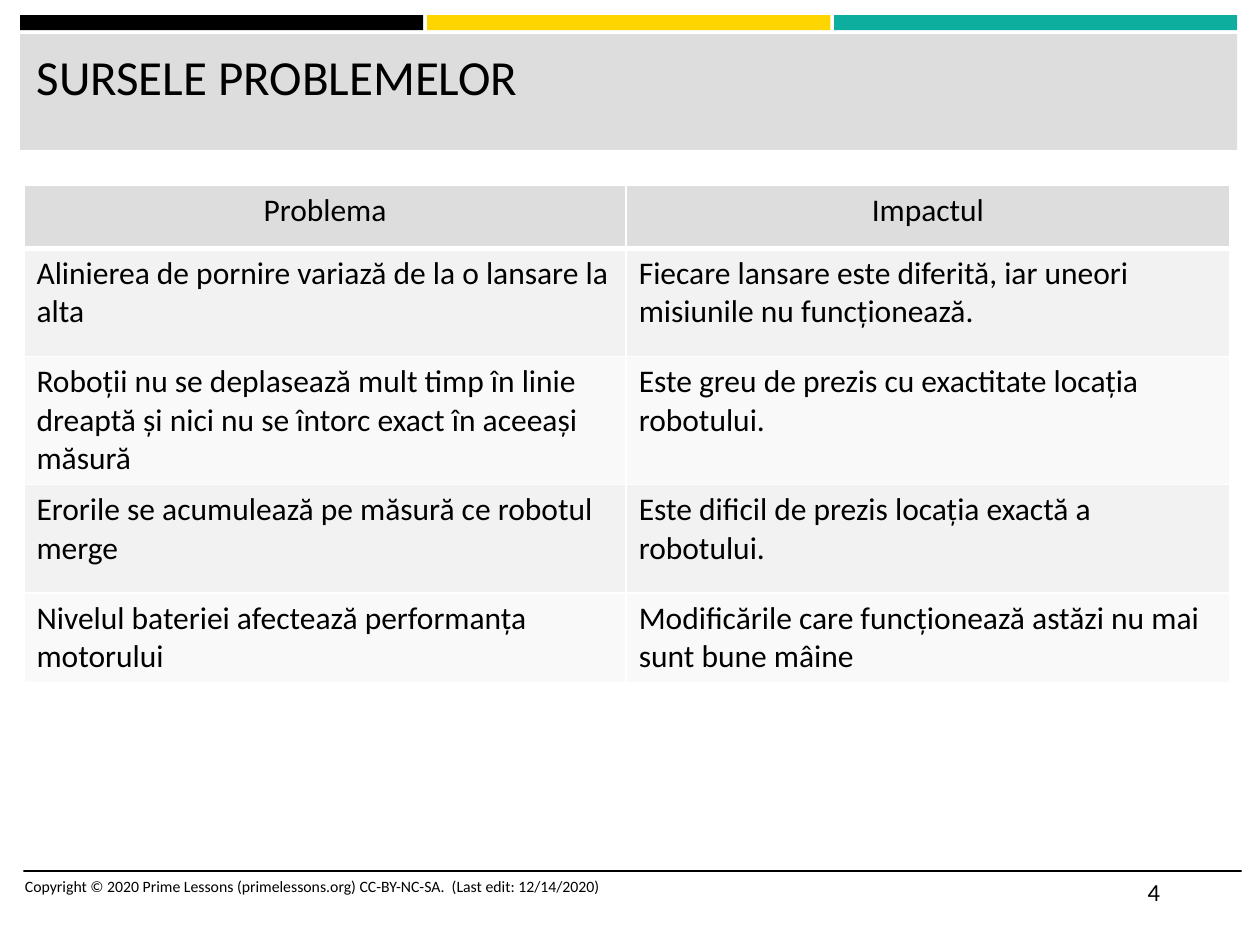
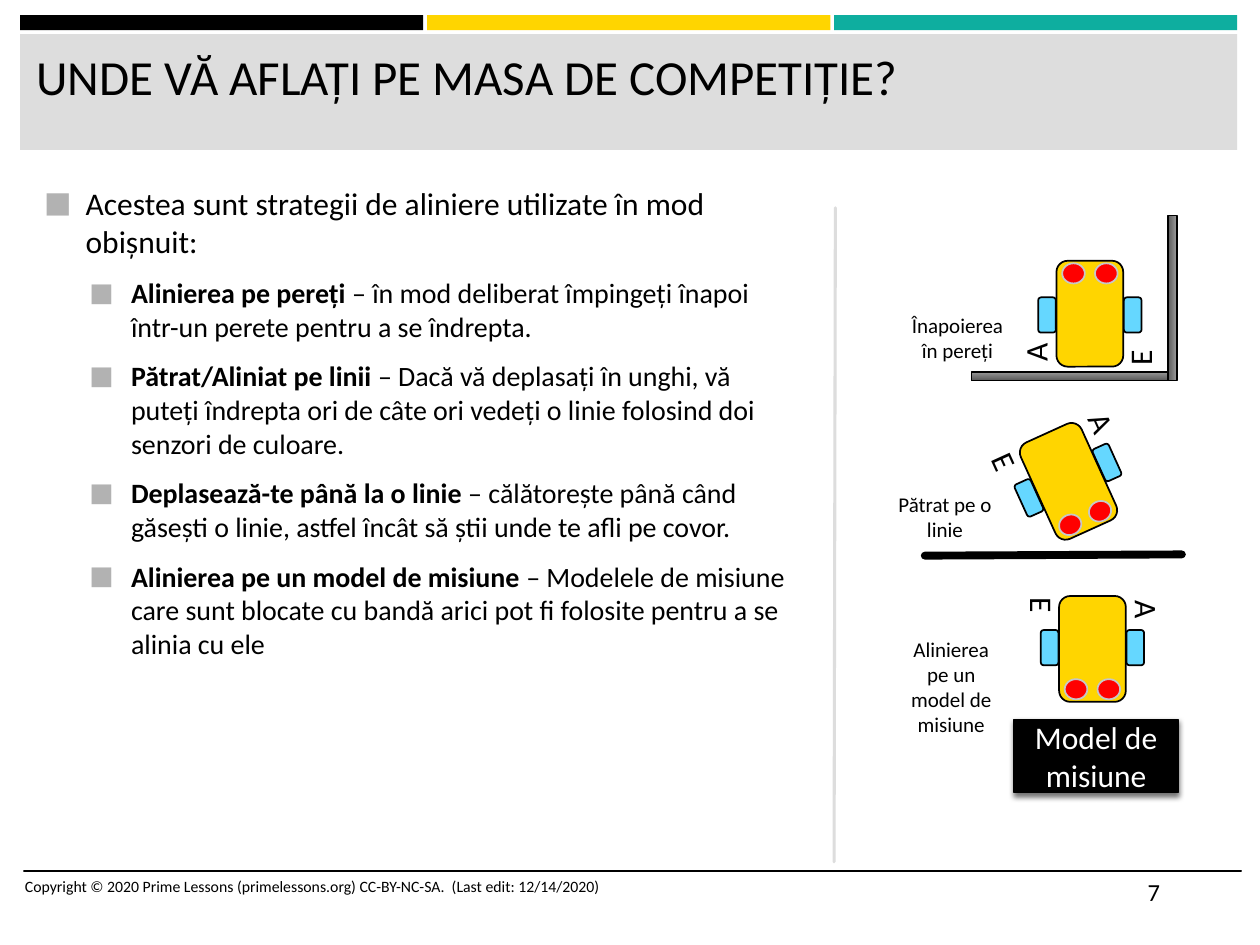
import math
import pptx
import pptx.dml.color
import pptx.enum.shapes
import pptx.enum.text
import pptx.oxml
import pptx.oxml.ns
import pptx.util
from lxml import etree

SCALE = 9144
FONT = "Calibri"
BLACK, WHITE, YELLOW, TEAL = "000000", "FFFFFF", "FFD500", "0EAE9F"
GREY, BULLET_GREY, BLUE, RED, LIGHT_EDGE = "DDDDDD", "B2B2B2", "65D7FF", "FF0000", "C7C7C7"
ROW_FILLS = ("F2F2F2", "F9F9F9")
COPYRIGHT = "Copyright © 2020 Prime Lessons (primelessons.org) CC-BY-NC-SA.  (Last edit: 12/14/2020)"

SHAPES = pptx.enum.shapes.MSO_SHAPE
ALIGN = pptx.enum.text.PP_ALIGN
ANCHOR = pptx.enum.text.MSO_ANCHOR
AUTO_SIZE = pptx.enum.text.MSO_AUTO_SIZE
qn = pptx.oxml.ns.qn


def px(length):
    return pptx.util.Emu(round(length * SCALE))


def color(value):
    return pptx.dml.color.RGBColor.from_string(value)


def add_element(parent, tag, **attributes):
    return etree.SubElement(parent, qn(tag), attributes)


class Deck:
    def __init__(self):
        self.presentation = pptx.Presentation()
        self.presentation.slide_width = px(1000)
        self.presentation.slide_height = px(750)
        self.slide = None

    def add_slide(self, layout, title, number):
        self.slide = self.presentation.slides.add_slide(self.presentation.slide_layouts[layout])
        for index, band in enumerate((BLACK, YELLOW, TEAL)):
            self.shape(SHAPES.RECTANGLE, 16 + 323 * index, 12, 320, 12, band)
        self.shape(SHAPES.RECTANGLE, 16, 27, 966, 92, GREY)
        self.line(19, 691, 985, 691, BLACK, 1)
        shape = self.slide.shapes.title
        shape.element.getparent().append(shape.element)
        frame = self.placeholder(shape, 19, 32, 957, 82)
        self.paragraph(frame.paragraphs[0], [(title, False)], 28)
        self.text(COPYRIGHT, 10, 691, 533, 40, 9)
        self.text(number, 901, 691, 84, 40, 14)

    def placeholder(self, shape, left, top, width, height):
        shape.left, shape.top, shape.width, shape.height = map(px, (left, top, width, height))
        frame = shape.text_frame
        frame.word_wrap = True
        frame.auto_size = AUTO_SIZE.NONE
        frame.vertical_anchor = ANCHOR.TOP
        return frame

    def paragraph(self, paragraph, runs, size, align=ALIGN.LEFT, ink=BLACK):
        paragraph.alignment = align
        for text, bold in runs:
            run = paragraph.add_run()
            run.text = text
            run.font.name = FONT
            run.font.size = pptx.util.Pt(size)
            run.font.bold = bold
            run.font.color.rgb = color(ink)

    def text(self, text, left, top, width, height, size, align=ALIGN.LEFT, rotation=0, grow=False):
        shape = self.slide.shapes.add_textbox(px(left), px(top), px(width), px(height))
        shape.rotation = rotation
        frame = shape.text_frame
        frame.word_wrap = True
        frame.auto_size = AUTO_SIZE.SHAPE_TO_FIT_TEXT if grow else AUTO_SIZE.NONE
        self.paragraph(frame.paragraphs[0], [(text, False)], size, align)

    def shape(self, kind, left, top, width, height, fill, edge=None, rotation=0):
        shape = self.slide.shapes.add_shape(kind, px(left), px(top), px(width), px(height))
        shape.shadow.inherit = False
        shape.rotation = rotation
        shape.fill.solid()
        shape.fill.fore_color.rgb = color(fill)
        if edge:
            shape.line.color.rgb = color(edge)
            shape.line.width = pptx.util.Pt(1)
        else:
            shape.line.fill.background()
        return shape

    def line(self, x1, y1, x2, y2, ink, weight):
        connector = self.slide.shapes.add_connector(
            pptx.enum.shapes.MSO_CONNECTOR.STRAIGHT, px(x1), px(y1), px(x2), px(y2))
        connector.line.color.rgb = color(ink)
        connector.line.width = pptx.util.Pt(weight)
        properties = connector.element.spPr
        properties.find(qn("a:ln")).set("cap", "rnd")
        add_element(properties, "a:effectLst")

    def bullets(self, items, left, top, width, height):
        frame = self.placeholder(self.slide.placeholders[1], left, top, width, height)
        for index, (level, runs) in enumerate(items):
            paragraph = frame.paragraphs[0] if index == 0 else frame.add_paragraph()
            paragraph.level = level
            properties = paragraph._p.get_or_add_pPr()
            properties.set("marL", str(px((33, 69)[level])))
            properties.set("indent", str(px(-33)))
            ink = add_element(properties, "a:buClr")
            add_element(ink, "a:srgbClr", val=BULLET_GREY)
            add_element(properties, "a:buSzPct", val="92000")
            add_element(properties, "a:buFont", typeface=FONT)
            add_element(properties, "a:buChar", char="■")
            if index == 0:
                paragraph.space_before = pptx.util.Pt(0)
            paragraph.space_after = pptx.util.Pt(6)
            self.paragraph(paragraph, runs, (18, 16)[level])

    def table(self, rows, left, top, widths, heights):
        table = self.slide.shapes.add_table(
            len(rows), len(widths), px(left), px(top), px(sum(widths)), px(sum(heights))).table
        table.first_row = table.horz_banding = False
        for column, width in zip(table.columns, widths):
            column.width = px(width)
        for index, (row, height) in enumerate(zip(rows, heights)):
            table.rows[index].height = px(height)
            header = index == 0
            for cell, text in zip(table.rows[index].cells, row):
                self.borders(cell, 3 if header else 1)
                cell.fill.solid()
                cell.fill.fore_color.rgb = color(GREY if header else ROW_FILLS[(index - 1) % 2])
                self.paragraph(cell.text_frame.paragraphs[0], [(text, False)], 18,
                               ALIGN.CENTER if header else ALIGN.LEFT)

    def borders(self, cell, bottom):
        properties = cell._tc.get_or_add_tcPr()
        for side, weight in (("L", 1), ("R", 1), ("T", 1), ("B", bottom)):
            border = add_element(properties, "a:ln" + side, w=str(pptx.util.Pt(weight)))
            fill = add_element(border, "a:solidFill")
            add_element(fill, "a:srgbClr", val=WHITE)

    def wall(self, left, top, width, height, rotation=0):
        wall = self.shape(SHAPES.RECTANGLE, left, top, width, height, GREY, BLACK, rotation)
        wall.fill.gradient()
        wall.fill.gradient_angle = 270
        for stop, ink in zip(wall.fill.gradient_stops, ("9B9B9B", "595959")):
            stop.color.rgb = color(ink)

    def mission_model(self, text, left, top, width, height):
        shape = self.shape(SHAPES.RECTANGLE, left, top, width, height, BLACK, BLACK)
        frame = shape.text_frame
        frame.word_wrap = True
        frame.vertical_anchor = ANCHOR.MIDDLE
        self.paragraph(frame.paragraphs[0], [(text, False)], 18, ALIGN.CENTER, WHITE)
        effects = shape.element.spPr.find(qn("a:effectLst"))
        shadow = add_element(effects, "a:outerShdw", blurRad=str(pptx.util.Pt(3)),
                             dist=str(pptx.util.Pt(2)), dir="5400000", rotWithShape="0")
        ink = add_element(shadow, "a:srgbClr", val=BLACK)
        add_element(ink, "a:alpha", val="55000")

    def robot(self, center_x, center_y, angle):
        cosine, sine = math.cos(math.radians(angle)), math.sin(math.radians(angle))

        def place(x, y, width, height):
            return (center_x + x * cosine - y * sine - width / 2,
                    center_y + x * sine + y * cosine - height / 2, width, height)

        self.shape(SHAPES.ROUNDED_RECTANGLE, *place(0, 0, 53, 84), YELLOW, BLACK, angle)
        for side in (-1, 1):
            self.shape(SHAPES.ROUNDED_RECTANGLE, *place(34 * side, 1, 14, 28), BLUE, BLACK, angle)
            self.shape(SHAPES.OVAL, *place(13 * side, -32, 18, 16), RED, LIGHT_EDGE, angle)
        for letter, x, y in (("A", -50, 31), ("E", 33, 34)):
            self.text(letter, *place(x, y, 34, 27), 18, rotation=(angle - 90) % 360, grow=True)


def main():
    deck = Deck()

    deck.add_slide(5, "SURSELE PROBLEMELOR", "4")
    deck.table([
        ("Problema", "Impactul"),
        ("Alinierea de pornire variază de la o lansare la alta",
         "Fiecare lansare este diferită, iar uneori misiunile nu funcționează."),
        ("Roboții nu se deplasează mult timp în linie dreaptă și nici nu se întorc exact în aceeași măsură",
         "Este greu de prezis cu exactitate locația robotului."),
        ("Erorile se acumulează pe măsură ce robotul merge",
         "Este dificil de prezis locația exactă a robotului."),
        ("Nivelul bateriei afectează performanța motorului",
         "Modificările care funcționează astăzi nu mai sunt bune mâine"),
    ], 19, 147, (478, 479), (50, 86, 85, 86, 50))

    deck.add_slide(1, "UNDE VĂ AFLAȚI PE MASA DE COMPETIȚIE?", "7")
    strategies = (
        ("Alinierea pe pereți ",
         "– în mod deliberat împingeți înapoi într-un perete pentru a se îndrepta."),
        ("Pătrat/Aliniat pe linii ",
         "– Dacă vă deplasați în unghi, vă puteți îndrepta ori de câte ori vedeți o linie "
         "folosind doi senzori de culoare."),
        ("Deplasează-te până la o linie ",
         "– călătorește până când găsești o linie, astfel încât să știi unde te afli pe covor."),
        ("Alinierea pe un model de misiune ",
         "– Modelele de misiune care sunt blocate cu bandă arici pot fi folosite pentru a se "
         "alinia cu ele"),
    )
    items = [(0, [("Acestea sunt strategii de aliniere utilizate în mod obișnuit:", False)])]
    items += [(1, [(name, True), (detail, False)]) for name, detail in strategies]
    deck.bullets(items, 25, 141, 615, 533)

    deck.line(938, 440, 734, 441, BLACK, 4.5)
    deck.mission_model("Model de misiune", 805, 571, 130, 58)
    deck.wall(771, 295, 162, 7)
    deck.wall(865, 233, 131, 7, 90)
    for label, left, top, height in (
        ("Înapoierea în pereți", 710, 243, 50),
        ("Pătrat pe o linie", 700, 385, 50),
        ("Alinierea pe un model de misiune", 705, 500, 91),
    ):
        deck.text(label, left, top, 100, height, 12, ALIGN.CENTER, grow=True)
    deck.line(662, 684, 663, 165, GREY, 1.75)
    for center_x, center_y, angle in ((848, 382, 155.6), (865, 249, 0), (867, 515, 180)):
        deck.robot(center_x, center_y, angle)

    deck.presentation.save("out.pptx")


if __name__ == "__main__":
    main()
